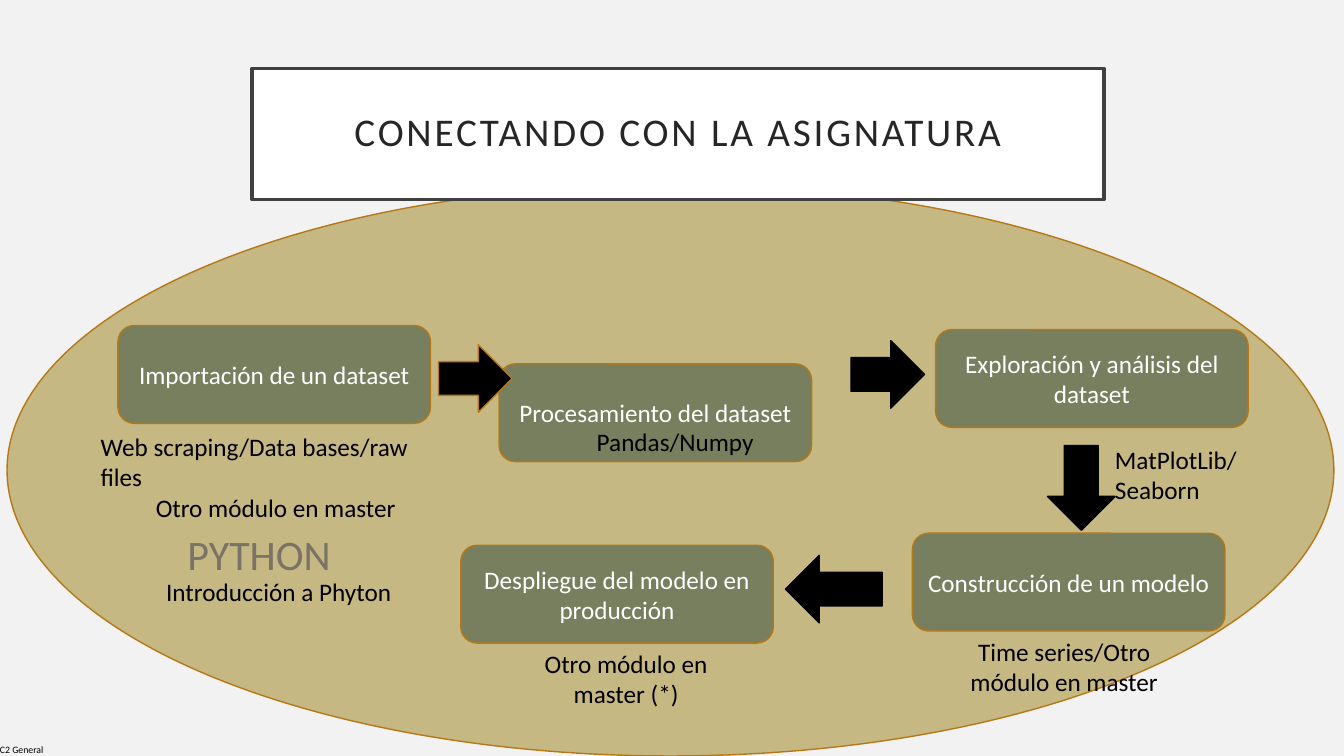
import pptx
import pptx.dml.color
import pptx.enum.shapes
import pptx.enum.text
import pptx.util

RGBColor = pptx.dml.color.RGBColor
MSO_SHAPE = pptx.enum.shapes.MSO_SHAPE
PP_ALIGN = pptx.enum.text.PP_ALIGN
MSO_ANCHOR = pptx.enum.text.MSO_ANCHOR
MSO_AUTO_SIZE = pptx.enum.text.MSO_AUTO_SIZE

PX = 9144
FONT = "Calibri"
BACKGROUND = RGBColor(0xF2, 0xF2, 0xF2)
SAND = RGBColor(0xC5, 0xB8, 0x83)
OLIVE = RGBColor(0x77, 0x7F, 0x5E)
OCHRE = RGBColor(0xB6, 0x78, 0x15)
TAUPE = RGBColor(0x7B, 0x73, 0x66)
CHARCOAL = RGBColor(0x26, 0x26, 0x26)
FRAME = RGBColor(0x40, 0x40, 0x40)
WHITE = RGBColor(0xFF, 0xFF, 0xFF)
BLACK = RGBColor(0, 0, 0)

STEP_SIZE = (310, 97)
STEPS = [
    ("Importación de un dataset", 117, 323),
    ("Procesamiento del dataset", 495, 361),
    ("Exploración y análisis del dataset", 928, 327),
    ("Construcción de un modelo", 905, 529),
    ("Despliegue del modelo en producción", 457, 541),
]
ARROWS = [
    (MSO_SHAPE.RIGHT_ARROW, (435, 342, 73, 67), OCHRE),
    (MSO_SHAPE.RIGHT_ARROW, (844, 338, 73, 67), BLACK),
    (MSO_SHAPE.DOWN_ARROW, (1039, 442, 67, 84), BLACK),
    (MSO_SHAPE.LEFT_ARROW, (779, 551, 96, 67), BLACK),
]
LEFT, CENTER = PP_ALIGN.LEFT, PP_ALIGN.CENTER
NOTES = [
    ((90, 423, 367, 71), [("Web scraping/Data bases/raw files", LEFT),
                          ("Otro módulo en master", CENTER)]),
    ((582, 418, 205, 40), [("Pandas/Numpy", LEFT)]),
    ((1096, 436, 221, 40), [("MatPlotLib/Seaborn", LEFT)]),
    ((940, 626, 231, 71), [("Time series/Otro módulo en master", CENTER)]),
    ((517, 638, 208, 71), [("Otro módulo en master (*)", CENTER)]),
    ((155, 567, 296, 40), [("Introducción a Phyton", LEFT)]),
]


def scaled(box):
    return [length * PX for length in box]


def add_run(paragraph, text, size, color, alignment):
    paragraph.alignment = alignment
    run = paragraph.add_run()
    run.text = text
    run.font.name = FONT
    run.font.size = pptx.util.Pt(size)
    run.font.color.rgb = color
    return run


def paint(shape, fill, line, width=1):
    shape.fill.solid()
    shape.fill.fore_color.rgb = fill
    shape.line.color.rgb = line
    shape.line.width = pptx.util.Pt(width)


def set_margins(frame, margin):
    frame.margin_left = frame.margin_right = margin * PX
    frame.margin_top = frame.margin_bottom = margin * PX


def add_painted_shape(slide, kind, box, fill, line):
    shape = slide.shapes.add_shape(kind, *scaled(box))
    shape.shadow.inherit = False
    paint(shape, fill, line)
    return shape


def add_note(slide, box, lines, size=18, color=BLACK):
    frame = slide.shapes.add_textbox(*scaled(box)).text_frame
    frame.word_wrap = True
    for index, (text, alignment) in enumerate(lines):
        paragraph = frame.add_paragraph() if index else frame.paragraphs[0]
        add_run(paragraph, text, size, color, alignment)
    return frame


def add_step(slide, text, box):
    step = add_painted_shape(slide, MSO_SHAPE.ROUNDED_RECTANGLE, box, OLIVE, OCHRE)
    frame = step.text_frame
    frame.word_wrap = True
    frame.vertical_anchor = MSO_ANCHOR.MIDDLE
    add_run(frame.paragraphs[0], text, 18, WHITE, CENTER)


def format_title(slide, box, text):
    title = slide.shapes.title
    title.left, title.top, title.width, title.height = scaled(box)
    paint(title, WHITE, FRAME, 2.5)
    frame = title.text_frame
    frame.word_wrap = True
    frame.auto_size = MSO_AUTO_SIZE.NONE
    frame.vertical_anchor = MSO_ANCHOR.MIDDLE
    set_margins(frame, 20)
    paragraph = frame.paragraphs[0]
    paragraph.line_spacing = 0.9
    run = add_run(paragraph, text, 28, CHARCOAL, CENTER)
    run.font._element.set("spc", "200")


def add_backdrop(slide, box):
    ellipse = add_painted_shape(slide, MSO_SHAPE.OVAL, box, SAND, OCHRE)
    slide.shapes.title._element.addprevious(ellipse._element)


def add_workflow(slide):
    for text, left, top in STEPS:
        add_step(slide, text, (left, top, *STEP_SIZE))
    for kind, box, line in ARROWS:
        add_painted_shape(slide, kind, box, BLACK, line)
    add_note(slide, (176, 519, 191, 61), [("PYTHON", LEFT)], 30, TAUPE)
    for box, lines in NOTES:
        add_note(slide, box, lines)


def add_classification(slide, box):
    frame = add_note(slide, box, [("C2 General", LEFT)], 7)
    frame.word_wrap = False
    set_margins(frame, 0)


def main():
    presentation = pptx.Presentation()
    presentation.slide_width, presentation.slide_height = scaled((1333, 750))
    slide = presentation.slides.add_slide(presentation.slide_layouts[5])
    slide.background.fill.solid()
    slide.background.fill.fore_color.rgb = BACKGROUND
    format_title(slide, (250, 68, 845, 130), "CONECTANDO CON LA ASIGNATURA")
    add_backdrop(slide, (7, 183, 1316, 567))
    add_workflow(slide)
    add_classification(slide, (0, 738, 46, 12))
    presentation.save("out.pptx")


if __name__ == "__main__":
    main()
